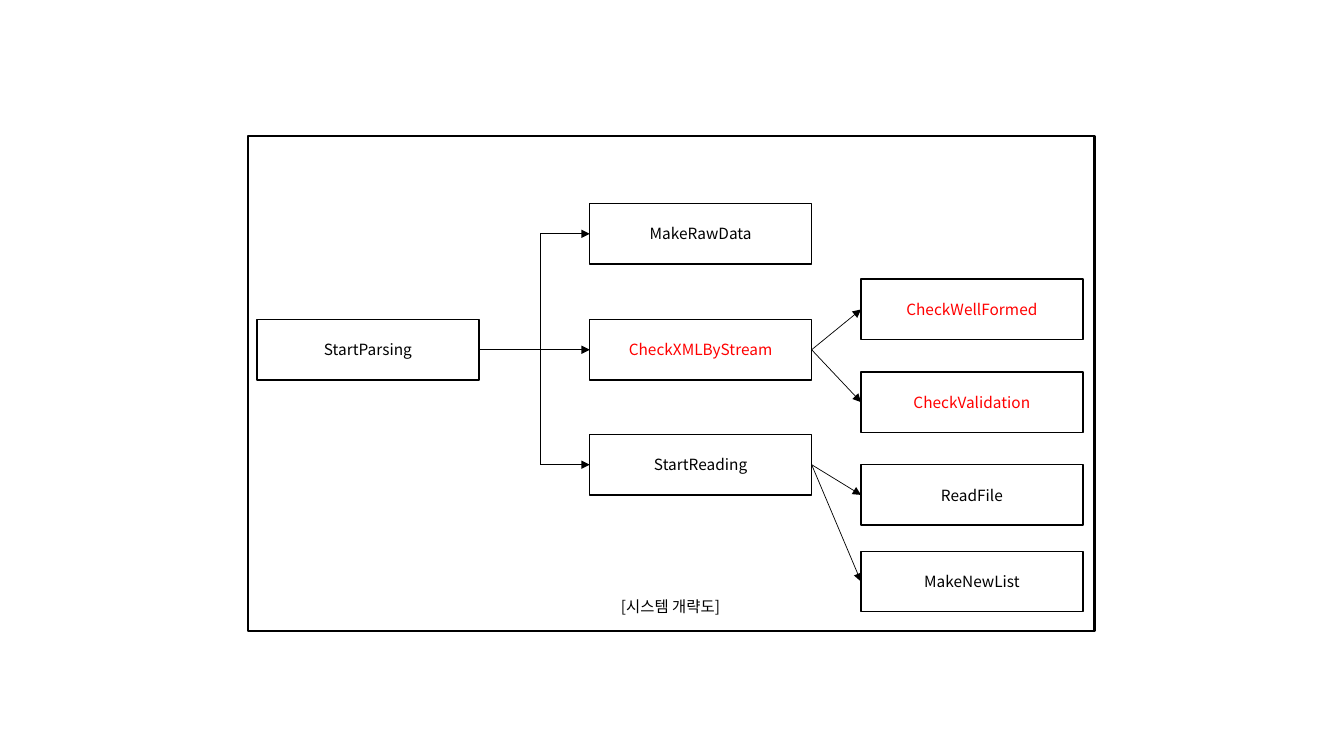
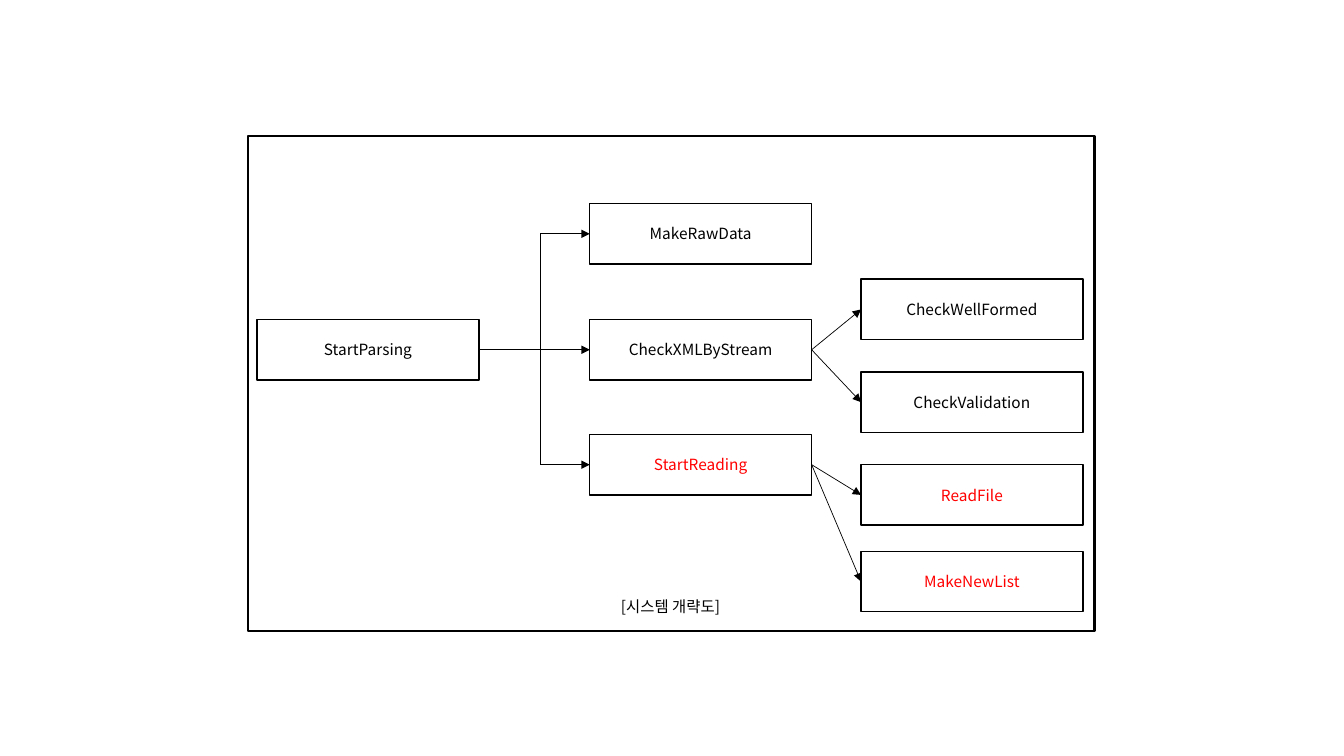
from lxml import etree
from pptx import Presentation
from pptx.dml.color import RGBColor
from pptx.enum.shapes import MSO_CONNECTOR, MSO_SHAPE
from pptx.enum.text import MSO_ANCHOR, MSO_AUTO_SIZE, PP_ALIGN
from pptx.oxml.ns import qn
from pptx.util import Inches, Pt

RECT = MSO_SHAPE.RECTANGLE
LINE = MSO_CONNECTOR.STRAIGHT
MIDDLE = MSO_ANCHOR.MIDDLE
CENTER = PP_ALIGN.CENTER
FIT = MSO_AUTO_SIZE.SHAPE_TO_FIT_TEXT
LEFT, RIGHT = 1, 3

FONT = "Noto Sans CJK KR"
BLACK, WHITE, RED = "000000", "FFFFFF", "FF0000"
WIDE, HIGH = 2.2, 0.6
TRUNK = 5.36

COLUMNS = [
    (2.55, [("StartParsing", 3.17)]),
    (5.85, [("MakeRawData", 2.02), ("CheckXMLByStream", 3.17),
            ("StartReading", 4.31)]),
    (8.54, [("CheckWellFormed", 2.77), ("CheckValidation", 3.69),
            ("ReadFile", 4.61), ("MakeNewList", 5.47)]),
]
CALLS = {
    "CheckXMLByStream": ["CheckWellFormed", "CheckValidation"],
    "StartReading": ["ReadFile", "MakeNewList"],
}


def style(shape, text, color):
    shape.text_frame.text = text
    font = shape.text_frame.paragraphs[0].runs[0].font
    font.size = Pt(11)
    font.color.rgb = RGBColor.from_string(color)
    font.name = FONT
    props = shape.text_frame.paragraphs[0].runs[0]._r.get_or_add_rPr()
    etree.SubElement(props, qn("a:ea"), typeface=FONT)


def join(slide, start, end, first=None, last=None, arrow=True):
    """Draw a thin line between two points, glued to the boxes given."""
    link = slide.shapes.add_connector(
        LINE, *(Inches(n) for n in (*start, *end)))
    if first is not None:
        link.begin_connect(first, RIGHT)
    if last is not None:
        link.end_connect(last, LEFT)
    link.line.color.rgb = RGBColor.from_string(BLACK)
    link.line.width = Pt(0.5)
    if arrow:
        etree.SubElement(link.line._get_or_add_ln(), qn("a:tailEnd"),
                         type="triangle")
    etree.SubElement(link._element.spPr, qn("a:effectLst"))


deck = Presentation()
deck.slide_width = Inches(13.33)
deck.slide_height = Inches(7.5)

for topic in CALLS:
    slide = deck.slides.add_slide(deck.slide_layouts[6])
    marked = [topic, *CALLS[topic]]

    frame = slide.shapes.add_shape(
        RECT, Inches(2.46), Inches(1.35), Inches(8.4), Inches(4.91))
    frame.shadow.inherit = False
    frame.fill.background()
    frame.line.color.rgb = RGBColor.from_string(BLACK)
    frame.line.width = Pt(2)

    boxes, entry, leave = {}, {}, {}
    for left, items in COLUMNS:
        for name, top in items:
            box = slide.shapes.add_shape(
                RECT, Inches(left), Inches(top), Inches(WIDE), Inches(HIGH))
            box.shadow.inherit = False
            box.fill.solid()
            box.fill.fore_color.rgb = RGBColor.from_string(WHITE)
            box.line.color.rgb = RGBColor.from_string(BLACK)
            box.line.width = Pt(1)
            style(box, name, RED if name in marked else BLACK)
            box.text_frame.vertical_anchor = MIDDLE
            box.text_frame.paragraphs[0].alignment = CENTER
            boxes[name] = box
            entry[name] = (left, top + HIGH / 2)
            leave[name] = (left + WIDE, top + HIGH / 2)

    root = "StartParsing"
    steps = [name for name, top in COLUMNS[1][1]]
    forks = [(TRUNK, entry[name][1]) for name in steps]
    join(slide, leave[root], (TRUNK, leave[root][1]),
         first=boxes[root], arrow=False)
    join(slide, forks[-1], forks[0], arrow=False)
    for fork, name in zip(forks, steps):
        join(slide, fork, entry[name], last=boxes[name])

    for caller, names in CALLS.items():
        for name in names:
            join(slide, leave[caller], entry[name],
                 boxes[caller], boxes[name])

    label = slide.shapes.add_textbox(
        Inches(6.06), Inches(5.87), Inches(1.28), Inches(0.29))
    style(label, "[시스템 개략도]", BLACK)
    label.text_frame.word_wrap = False
    label.text_frame.auto_size = FIT

deck.save("out.pptx")
